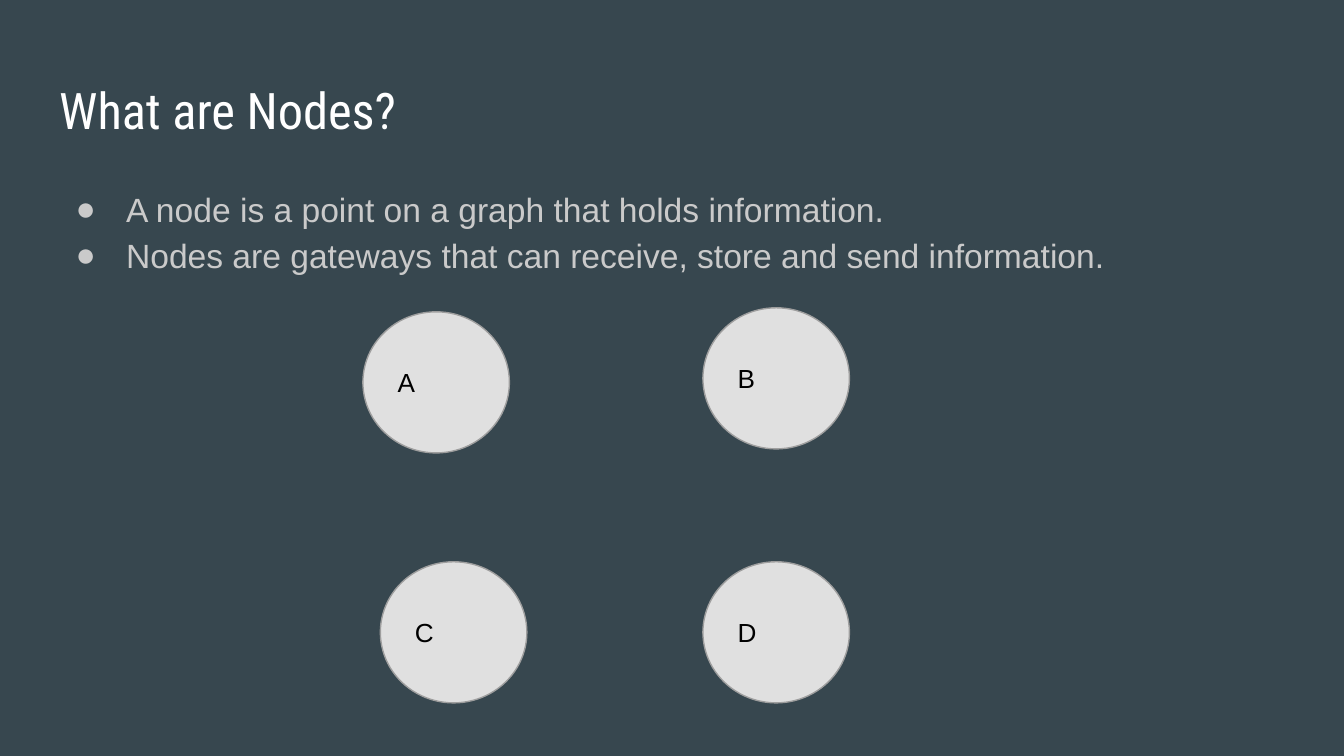
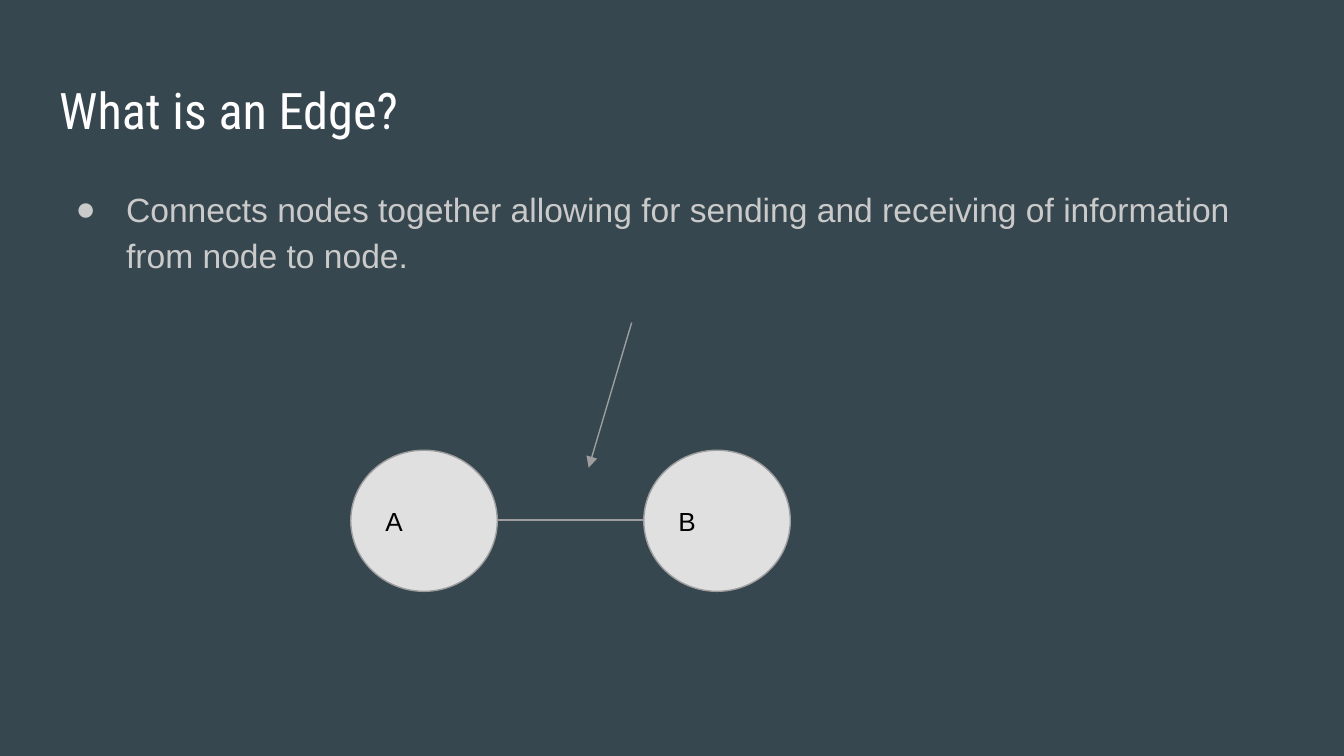
"""Build two slides that introduce the nodes and edges of a graph."""
import dataclasses

import lxml.etree
import pptx
import pptx.dml.color
import pptx.enum.shapes
import pptx.enum.text
import pptx.oxml.ns
import pptx.util

Inches = pptx.util.Inches
Pt = pptx.util.Pt
RGBColor = pptx.dml.color.RGBColor
qn = pptx.oxml.ns.qn


@dataclasses.dataclass(frozen=True)
class Theme:
    background: RGBColor = RGBColor.from_string("37474F")
    title_color: RGBColor = RGBColor.from_string("FFFFFF")
    body_color: RGBColor = RGBColor.from_string("CACACA")
    node_fill: RGBColor = RGBColor.from_string("E0E0E0")
    node_text: RGBColor = RGBColor.from_string("000000")
    outline: RGBColor = RGBColor.from_string("9E9E9E")
    title_font: str = "Roboto Condensed"
    body_font: str = "Arial"
    title_size: int = Pt(27)
    body_size: int = Pt(18)
    node_size: int = Pt(14)
    line_width: int = Pt(0.75)


theme = Theme()
LEFT, WIDTH = 0.34, 9.32
NODE_WIDTH, NODE_HEIGHT = 1.09, 1.05
EDGE_Y = 3.87

SLIDES = [
    {
        "title": "What are Nodes?",
        "bullets": [
            "A node is a point on a graph that holds information.",
            "Nodes are gateways that can receive, store and send information.",
        ],
        "nodes": [("A", 2.7, 2.32), ("B", 5.23, 2.29), ("C", 2.83, 4.18), ("D", 5.23, 4.18)],
        "lines": [],
    },
    {
        "title": "What is an Edge?",
        "bullets": [
            "Connects nodes together allowing for sending and receiving of information "
            "from node to node.",
        ],
        "nodes": [("B", 4.79, 3.35), ("A", 2.61, 3.35)],
        "lines": [
            ((2.61 + NODE_WIDTH, EDGE_Y), (4.79, EDGE_Y), False),
            ((4.7, 2.4), (4.38, 3.48), True),
        ],
    },
]


def format_frame(text_frame, anchor):
    text_frame.word_wrap = True
    text_frame.auto_size = pptx.enum.text.MSO_AUTO_SIZE.NONE
    text_frame.vertical_anchor = anchor
    text_frame.margin_left = text_frame.margin_right = Inches(0.1)
    text_frame.margin_top = text_frame.margin_bottom = Inches(0.1)


def format_paragraph(paragraph, font_name, size, color):
    paragraph.alignment = pptx.enum.text.PP_ALIGN.LEFT
    for run in paragraph.runs:
        run.font.name = font_name
        run.font.size = size
        run.font.color.rgb = color


presentation = pptx.Presentation()
presentation.slide_width = Inches(10)
presentation.slide_height = Inches(10 * 9 / 16)
master_fill = presentation.slide_master.background.fill
master_fill.solid()
master_fill.fore_color.rgb = theme.background
title_only = presentation.slide_layouts.get_by_name("Title Only")
top = pptx.enum.text.MSO_ANCHOR.TOP
middle = pptx.enum.text.MSO_ANCHOR.MIDDLE

for content in SLIDES:
    slide = presentation.slides.add_slide(title_only)

    title = slide.shapes.title
    title.left, title.top = Inches(LEFT), Inches(0.49)
    title.width, title.height = Inches(WIDTH), Inches(0.63)
    title.text_frame.text = content["title"]
    format_frame(title.text_frame, top)
    format_paragraph(
        title.text_frame.paragraphs[0], theme.title_font, theme.title_size, theme.title_color
    )

    body = slide.shapes.add_textbox(Inches(LEFT), Inches(1.26), Inches(WIDTH), Inches(3.74))
    body.text_frame.text = "\n".join(content["bullets"])
    format_frame(body.text_frame, top)
    for paragraph in body.text_frame.paragraphs:
        format_paragraph(paragraph, theme.body_font, theme.body_size, theme.body_color)
        paragraph.line_spacing = 1.15
        properties = paragraph._p.get_or_add_pPr()
        properties.set("marL", str(Inches(0.5)))
        properties.set("indent", str(Pt(-27)))
        bullet_color = lxml.etree.SubElement(properties, qn("a:buClr"))
        lxml.etree.SubElement(bullet_color, qn("a:srgbClr"), val=str(theme.body_color))
        lxml.etree.SubElement(properties, qn("a:buFont"), typeface=theme.body_font)
        lxml.etree.SubElement(properties, qn("a:buChar"), char="●")

    for label, node_left, node_top in content["nodes"]:
        node = slide.shapes.add_shape(
            pptx.enum.shapes.MSO_SHAPE.OVAL,
            Inches(node_left), Inches(node_top), Inches(NODE_WIDTH), Inches(NODE_HEIGHT),
        )
        node.shadow.inherit = False
        node.fill.solid()
        node.fill.fore_color.rgb = theme.node_fill
        node.line.color.rgb = theme.outline
        node.line.width = theme.line_width
        node.text_frame.text = label
        format_frame(node.text_frame, middle)
        format_paragraph(
            node.text_frame.paragraphs[0], theme.body_font, theme.node_size, theme.node_text
        )

    for start, end, has_arrow in content["lines"]:
        connector = slide.shapes.add_connector(
            pptx.enum.shapes.MSO_CONNECTOR.STRAIGHT,
            *(Inches(length) for length in start + end),
        )
        connector.line.color.rgb = theme.outline
        connector.line.width = theme.line_width
        if has_arrow:
            line = connector.line._get_or_add_ln()
            lxml.etree.SubElement(line, qn("a:tailEnd"), type="triangle")
        lxml.etree.SubElement(connector._element.spPr, qn("a:effectLst"))

presentation.save("out.pptx")
